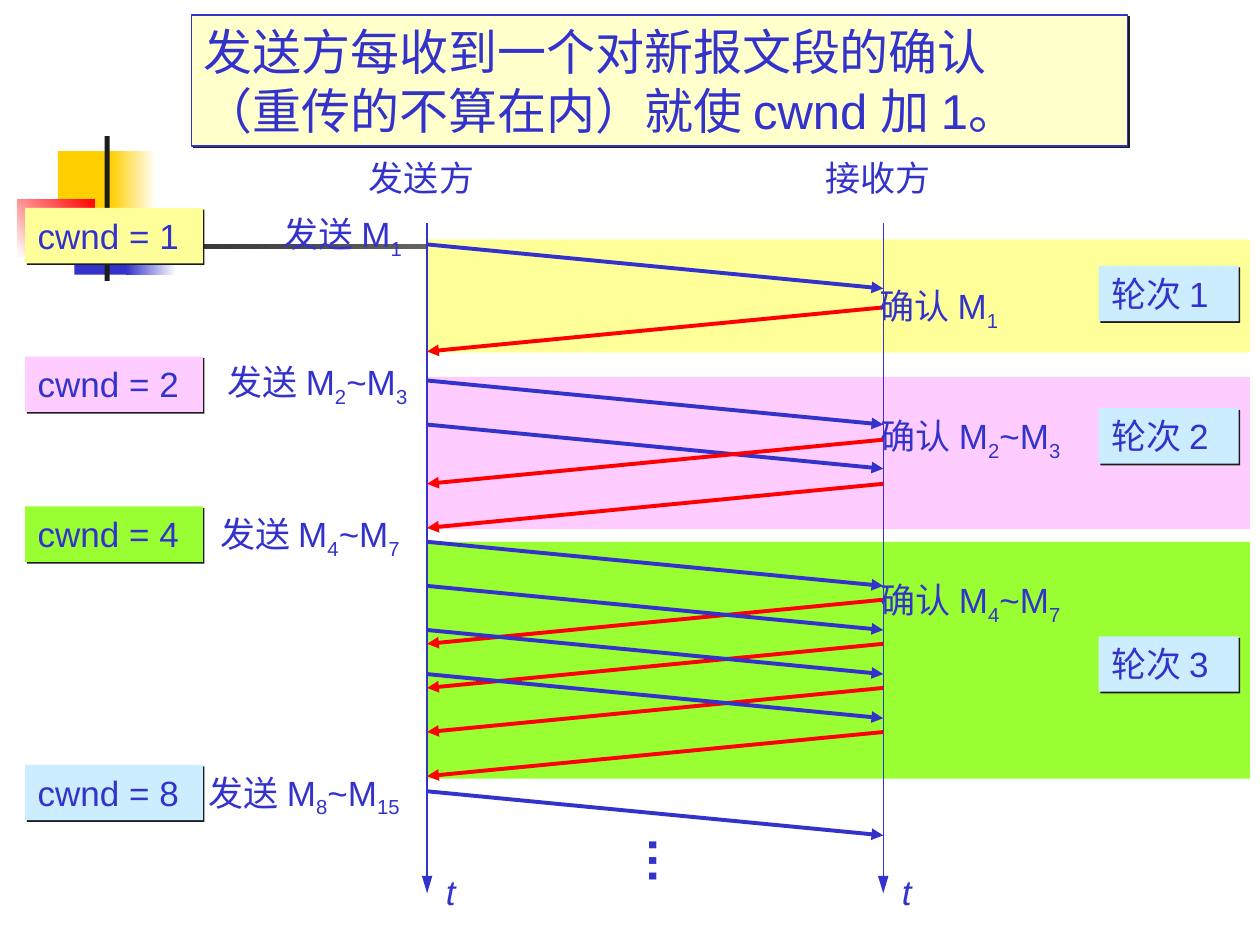
from dataclasses import dataclass

from lxml.etree import SubElement
from pptx import Presentation
from pptx.dml.color import RGBColor
from pptx.enum.shapes import MSO_CONNECTOR as Connector, MSO_SHAPE as Preset
from pptx.enum.text import MSO_ANCHOR as Anchor, PP_ALIGN as Align
from pptx.oxml.ns import qn
from pptx.util import Inches, Pt


@dataclass(frozen=True)
class Theme:
    font: str = "Arial"
    body: float = 20
    large: float = 28
    hairline: float = 0.75
    arrow: float = 2.25
    ink: str = "3333CC"
    ack: str = "FF0000"
    dark: str = "1C1C1C"
    white: str = "FFFFFF"
    gold: str = "FFCF01"
    red: str = "FF0000"
    cream: str = "FFFFCC"
    yellow: str = "FFFF99"
    pink: str = "FFCCFF"
    green: str = "99FF33"
    sky: str = "CCECFF"


THEME = Theme()

# The slide is a grid of 1000 columns by 750 rows; boxes are (left, top, width, height).
COLUMNS, ROWS = 1000, 750
CELL = Inches(10) // COLUMNS
SENDER, RECEIVER = 339, 701
AXIS_TOP, AXIS_BOTTOM = 177, 709
FLIGHT = 35  # rows a segment drops while crossing, also the gap between segments
TAG_HEIGHT, LABEL_HEIGHT = 44, 48

TITLE = ["发送方每收到一个对新报文段的确认", "（重传的不算在内）就使 cwnd 加 1。"]
TITLE_BOX = (152, 12, 743, 104)
AXES = [("发送方", SENDER, 283), ("接收方", RECEIVER, 645)]

# Numbers in a label's odd places are subscripts.
ROUNDS = [
    dict(cwnd=1, color=THEME.yellow, band=(190, 90), row=165, numbers=["M", "1"],
         send_label=(215, 164, 128), sends=(194, 1), acks=(244, 1),
         ack_label=(682, 221, 145), badge=211),
    dict(cwnd=2, color=THEME.pink, band=(299, 121), row=283, numbers=["M", "2", "~M", "3"],
         send_label=(171, 281, 177), sends=(302, 2), acks=(349, 2),
         ack_label=(683, 324, 198), badge=324),
    dict(cwnd=4, color=THEME.green, band=(430, 188), row=402, numbers=["M", "4", "~M", "7"],
         send_label=(165, 402, 177), sends=(430, 4), acks=(476, 4),
         ack_label=(683, 454, 198), badge=505, acks_below=True),
    dict(cwnd=8, color=THEME.sky, row=607, numbers=["M", "8", "~M", "15"],
         send_label=(156, 607, 186), sends=(628, 1)),
]

# Box, colours (two make a gradient) and gradient angle.
ORNAMENT = [
    ((46, 120, 48, 52), [THEME.gold], 0),
    ((88, 120, 36, 52), [THEME.gold, THEME.white], 0),
    ((59, 166, 46, 52), [THEME.ink], 0),
    ((100, 166, 40, 52), [THEME.ink, THEME.white], 0),
    ((14, 158, 61, 46), [THEME.white, THEME.red], 45),
    ((83, 108, 4, 115), [THEME.dark], 0),
    ((48, 194, 900, 4), [THEME.dark, THEME.white], 0),
]


def cells(values):
    return [value * CELL for value in values]


def rgb(code):
    return RGBColor.from_string(code)


def add_block(shapes, box, colors, angle=0):
    """Add a rectangle without outline, filled flat or with a gradient."""
    shape = shapes.add_shape(Preset.RECTANGLE, *cells(box))
    shape.shadow.inherit = False
    shape.line.fill.background()
    if len(colors) == 1:
        shape.fill.solid()
        shape.fill.fore_color.rgb = rgb(colors[0])
    else:
        shape.fill.gradient()
        shape.fill.gradient_angle = angle
        for stop, color, position in zip(shape.fill.gradient_stops, colors, (0, 1)):
            stop.color.rgb = rgb(color)
            stop.position = position
    return shape


def add_hard_shadow(shape):
    effects = shape._element.spPr.find(qn("a:effectLst"))
    shadow = SubElement(effects, qn("a:outerShdw"), dist=str(Pt(1.4)), dir="2700000",
                        algn="ctr", rotWithShape="0")
    SubElement(shadow, qn("a:srgbClr"), val=THEME.dark)


def write(shape, paragraphs, size=THEME.body, **style):
    """Fill a shape with paragraphs, each a list of pieces with odd ones subscript."""
    frame = shape.text_frame
    frame.word_wrap = False
    frame.vertical_anchor = Anchor.TOP
    formats = dict(name=THEME.font, size=Pt(size), **style)
    for index, pieces in enumerate(paragraphs):
        paragraph = frame.add_paragraph() if index else frame.paragraphs[0]
        paragraph.alignment = Align.LEFT
        for place, piece in enumerate(pieces):
            run = paragraph.add_run()
            run.text = piece
            run.font.color.rgb = rgb(THEME.ink)
            for name, value in formats.items():
                setattr(run.font, name, value)
            if place % 2:
                run._r.get_or_add_rPr().set("baseline", "-25000")


def add_label(shapes, box, pieces, **style):
    shape = shapes.add_textbox(*cells(box))
    write(shape, [pieces], **style)
    return shape


def add_card(shapes, box, color, lines, **style):
    """Add a filled text box with a hard shadow."""
    shape = add_block(shapes, box, [color])
    add_hard_shadow(shape)
    write(shape, [[line] for line in lines], **style)
    return shape


def add_arrow(shapes, start, end, color, width, head_length="med"):
    arrow = shapes.add_connector(Connector.STRAIGHT, *cells(start + end))
    arrow.line.color.rgb = rgb(color)
    arrow.line.width = Pt(width)
    properties = arrow._element.spPr
    SubElement(properties.find(qn("a:ln")), qn("a:tailEnd"), type="triangle",
               w="med", len=head_length)
    SubElement(properties, qn("a:effectLst"))


def add_flights(shapes, first_row, count, origin, target, color):
    for index in range(count):
        row = first_row + index * FLIGHT
        add_arrow(shapes, (origin, row), (target, row + FLIGHT), color, THEME.arrow)


def add_round(shapes, item):
    flights = [(*item["sends"], SENDER, RECEIVER, THEME.ink)]
    if "acks" in item:
        flights.append((*item["acks"], RECEIVER, SENDER, THEME.ack))
    if item.get("acks_below"):
        flights.reverse()
    for flight in flights:
        add_flights(shapes, *flight)

    first, *rest = item["numbers"]
    add_label(shapes, (*item["send_label"], LABEL_HEIGHT), ["发送 " + first, *rest])
    add_card(shapes, (20, item["row"], 141, TAG_HEIGHT), item["color"],
             [f"cwnd = {item['cwnd']}"])
    if "ack_label" in item:
        add_label(shapes, (*item["ack_label"], LABEL_HEIGHT), [" 确认 " + first, *rest])


def main():
    presentation = Presentation()
    presentation.slide_width, presentation.slide_height = cells((COLUMNS, ROWS))
    slide = presentation.slides.add_slide(presentation.slide_layouts[6])
    shapes = slide.shapes

    for box, colors, angle in ORNAMENT:
        add_block(shapes, box, colors, angle)
    for item in ROUNDS:
        if "band" in item:
            top, height = item["band"]
            add_block(shapes, (SENDER, top, 653, height), [item["color"]])
    for name, column, left in AXES:
        add_label(shapes, (left, 119, 112, 44), [name])
        add_arrow(shapes, (column, AXIS_TOP), (column, AXIS_BOTTOM),
                  THEME.ink, THEME.hairline, head_length="lg")
        add_label(shapes, (column + 5, 686, 28, 43), ["t"], italic=True)
    for number, item in enumerate(ROUNDS, 1):
        add_round(shapes, item)
        if "badge" in item:
            add_card(shapes, (872, item["badge"], 111, TAG_HEIGHT), THEME.sky,
                     [f"轮次 {number}"])

    dots = add_label(shapes, (501, 655, 59, 57), ["…"], size=THEME.large, bold=True)
    dots.rotation = 90
    title = add_card(shapes, TITLE_BOX, THEME.cream, TITLE, size=THEME.large)
    title.line.color.rgb = rgb(THEME.ink)
    title.line.width = Pt(THEME.hairline)
    presentation.save("out.pptx")


if __name__ == "__main__":
    main()
